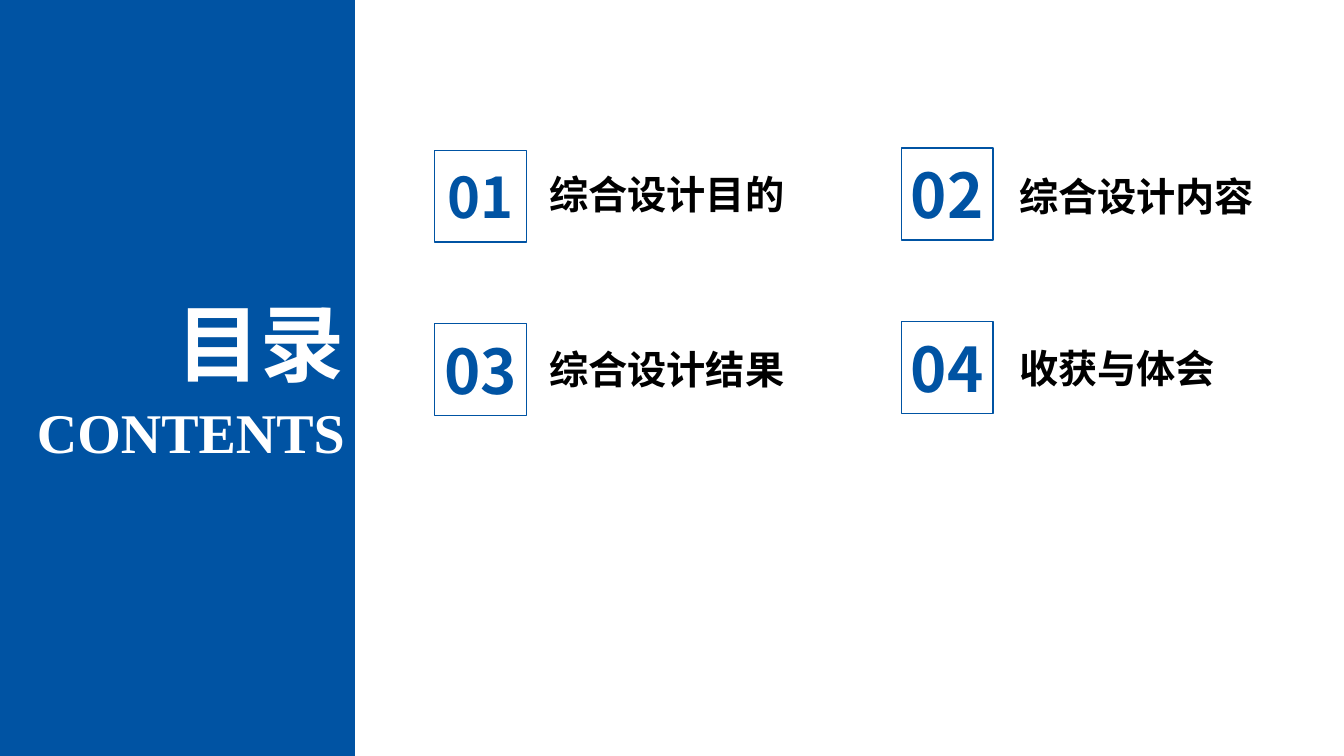
from lxml import etree
from pptx import Presentation
from pptx.dml.color import RGBColor
from pptx.enum import shapes, text
from pptx.oxml import ns
from pptx.util import Inches, Pt

COLORS = {"blue": "0053A3", "white": "FFFFFF", "black": "000000"}
SANS, SERIF = "Noto Sans CJK SC", "Times New Roman"
LEFT, CENTER, RIGHT = text.PP_ALIGN.LEFT, text.PP_ALIGN.CENTER, text.PP_ALIGN.RIGHT

TITLE, SUBTITLE = "目录", "CONTENTS"
# number, number size, label, label's vertical shift from the square's centre
CHAPTERS = [
    ("01", 40, "综合设计目的", -0.02),
    ("02", 44, "综合设计内容", 0.02),
    ("03", 44, "综合设计结果", -0.01),
    ("04", 44, "收获与体会", 0),
]

WIDTH, HEIGHT = 13.33, 7.5
PANEL_WIDTH = 3.52
COLUMNS = 2
GRID_LEFT, GRID_TOP = 4.31, 1.49
COLUMN_STEP, ROW_STEP = 4.63, 1.72
COLUMN_RISE = 0.02
SQUARE = 0.91
NUMBER_WIDTH, NUMBER_HEIGHT = 0.98, 0.84
LABEL_OFFSETS = (1.04, 1.07)
LABEL_WIDTH, LABEL_HEIGHT = 2.62, 0.57


def color(name):
    return RGBColor.from_string(COLORS[name])


def place(shape, left, top, width, height):
    shape.left, shape.top = Inches(left), Inches(top)
    shape.width, shape.height = Inches(width), Inches(height)


def write(shape, words, size, color_name, align, font_name=SANS):
    """Put one bold line into the shape, centred vertically."""
    frame = shape.text_frame
    frame.word_wrap = True
    frame.auto_size = text.MSO_AUTO_SIZE.NONE
    frame.vertical_anchor = text.MSO_ANCHOR.MIDDLE
    frame.margin_left = frame.margin_right = Inches(0.1)
    frame.margin_top = frame.margin_bottom = Inches(0.05)
    paragraph = frame.paragraphs[0]
    paragraph.alignment = align
    paragraph.space_before = Pt(0)
    run = paragraph.add_run()
    run.text = words
    run.font.size, run.font.bold, run.font.name = Pt(size), True, font_name
    run.font.color.rgb = color(color_name)
    east_asian = etree.SubElement(run.font._element, ns.qn("a:ea"))
    east_asian.set("typeface", font_name)


def add_text(slide, area, *style):
    write(slide.shapes.add_textbox(*map(Inches, area)), *style)


def add_rectangle(slide, *area):
    shape = slide.shapes.add_shape(
        shapes.MSO_SHAPE.RECTANGLE, *map(Inches, area))
    shape.shadow.inherit = False
    return shape


def add_panel(slide):
    panel = add_rectangle(slide, 0, 0, PANEL_WIDTH, HEIGHT)
    panel.fill.solid()
    panel.fill.fore_color.rgb = color("blue")
    panel.line.fill.background()
    slide.shapes._spTree.insert(2, panel._element)  # behind the placeholders

    title, subtitle = slide.placeholders
    place(title, 0.98, 2.84, PANEL_WIDTH - 0.98, 1.11)
    write(title, TITLE, 60, "white", RIGHT)
    place(subtitle, 0, 3.89, PANEL_WIDTH, 0.77)
    write(subtitle, SUBTITLE, 40, "white", RIGHT, SERIF)


def add_chapter(slide, index, number, number_size, label, label_shift):
    row, column = divmod(index, COLUMNS)
    left = GRID_LEFT + column * COLUMN_STEP
    top = GRID_TOP + row * ROW_STEP - column * COLUMN_RISE
    middle = top + SQUARE / 2

    label_top = middle - LABEL_HEIGHT / 2 + label_shift
    add_text(slide, (left + LABEL_OFFSETS[column], label_top,
                     LABEL_WIDTH, LABEL_HEIGHT), label, 28, "black", LEFT)
    add_text(slide, (left + (SQUARE - NUMBER_WIDTH) / 2,
                     middle - NUMBER_HEIGHT / 2, NUMBER_WIDTH, NUMBER_HEIGHT),
             number, number_size, "blue", CENTER)
    square = add_rectangle(slide, left, top, SQUARE, SQUARE)
    square.fill.background()
    square.line.color.rgb = color("blue")
    square.line.width = Pt(1)


def main():
    presentation = Presentation()
    presentation.slide_width = Inches(WIDTH)
    presentation.slide_height = Inches(HEIGHT)
    slide = presentation.slides.add_slide(presentation.slide_layouts[0])
    add_panel(slide)
    for index, chapter in enumerate(CHAPTERS):
        add_chapter(slide, index, *chapter)
    presentation.save("out.pptx")


if __name__ == "__main__":
    main()
